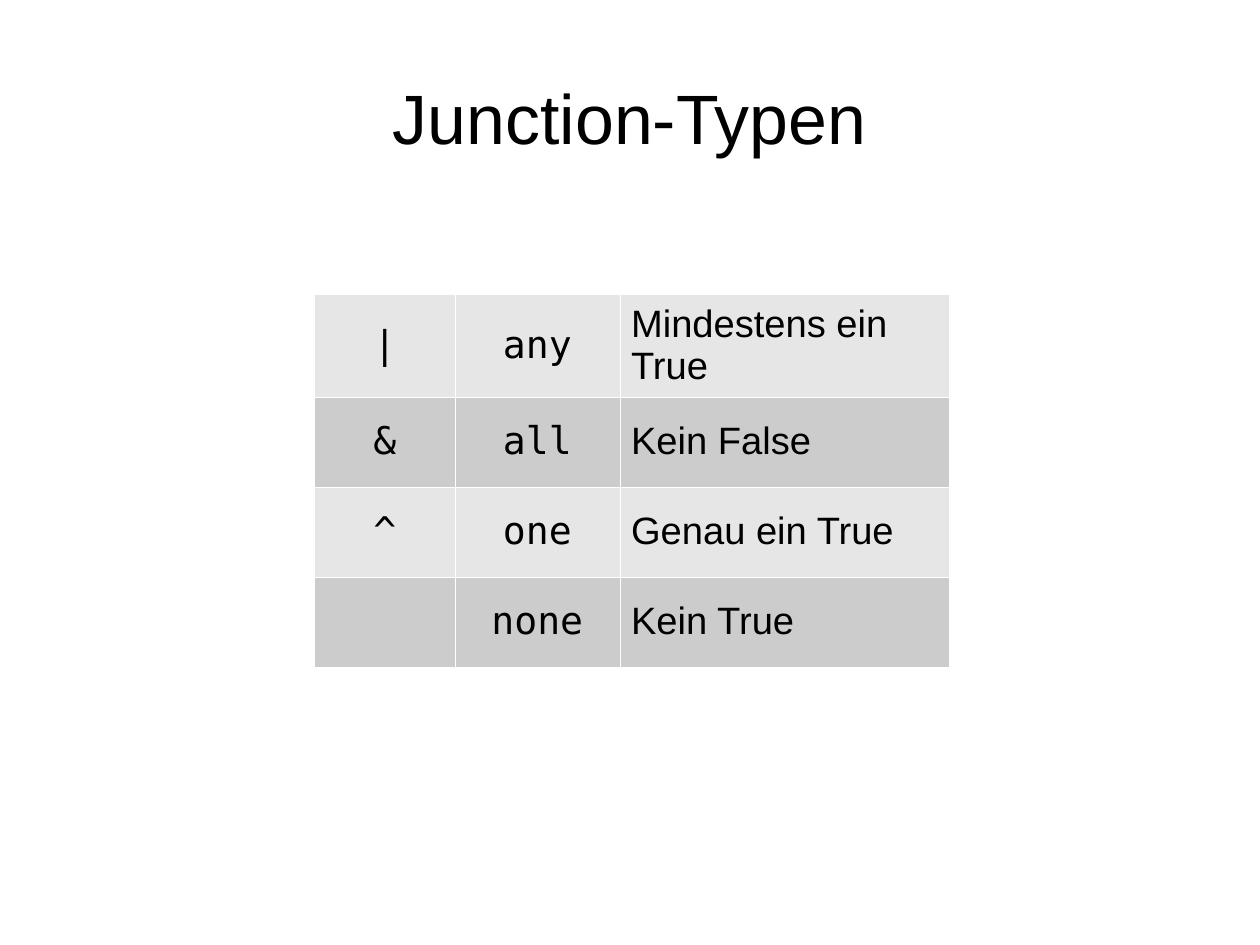
from lxml.etree import SubElement
from pptx import Presentation
from pptx.dml.color import RGBColor
from pptx.enum.text import MSO_ANCHOR as Anchor, PP_ALIGN as Align
from pptx.oxml.ns import qn
from pptx.util import Pt

EMU_PER_PX = 3600  # ten px to the millimetre
COLORS = {"text": "000000", "border": "FFFFFF", "odd": "E6E6E6", "even": "CCCCCC"}
SANS, MONO = "Arial", "DejaVu Sans Mono"
BORDER_WIDTH = 762

JUNCTIONS = [
    ("|", "any", "Mindestens ein True"),
    ("&", "all", "Kein False"),
    ("^", "one", "Genau ein True"),
    ("", "none", "Kein True"),
]
COLUMNS = [(312, MONO, Align.CENTER), (366, MONO, Align.CENTER), (731, SANS, Align.LEFT)]
ROW_HEIGHT = 200


def px(length):
    return length * EMU_PER_PX


def color(name):
    return RGBColor.from_string(COLORS[name])


def write(paragraph, text, font, size, align):
    paragraph.alignment = align
    run = paragraph.add_run()
    run.text = text
    run.font.name = font
    run.font.size = Pt(size)
    run.font.color.rgb = color("text")


def add_borders(cell):
    """Draw the border on all four sides; call before the cell gets its fill."""
    properties = cell._tc.get_or_add_tcPr()
    for side in ("a:lnL", "a:lnR", "a:lnT", "a:lnB"):
        line = SubElement(properties, qn(side), w=str(BORDER_WIDTH))
        fill = SubElement(line, qn("a:solidFill"))
        SubElement(fill, qn("a:srgbClr"), val=COLORS["border"])


def add_title(slide, left, top, width, height):
    title = slide.shapes.add_textbox(px(left), px(top), px(width), px(height))
    frame = title.text_frame
    frame.word_wrap = True
    frame.vertical_anchor = Anchor.MIDDLE
    frame.margin_left = frame.margin_right = frame.margin_top = frame.margin_bottom = 0
    write(frame.paragraphs[0], "Junction-Typen", SANS, 44, Align.CENTER)


def add_junction_table(slide, left, top):
    width = sum(column_width for column_width, _, _ in COLUMNS)
    height = ROW_HEIGHT * len(JUNCTIONS)
    table = slide.shapes.add_table(
        len(JUNCTIONS), len(COLUMNS), px(left), px(top), px(width), px(height)
    ).table
    table.first_row = table.horz_banding = False
    for column, (column_width, _, _) in zip(table.columns, COLUMNS):
        column.width = px(column_width)
    for row, junction in enumerate(JUNCTIONS):
        for col, (text, (_, font, align)) in enumerate(zip(junction, COLUMNS)):
            cell = table.cell(row, col)
            cell.vertical_anchor = Anchor.MIDDLE
            add_borders(cell)
            cell.fill.solid()
            cell.fill.fore_color.rgb = color("even" if row % 2 else "odd")
            if text:
                write(cell.text_frame.paragraphs[0], text, font, 24, align)


def main():
    deck = Presentation()
    deck.slide_width, deck.slide_height = px(2800), px(2100)
    slide = deck.slides.add_slide(deck.slide_layouts[6])
    add_title(slide, 140, 84, 2520, 350)
    add_junction_table(slide, 699, 653)
    deck.save("out.pptx")


if __name__ == "__main__":
    main()
